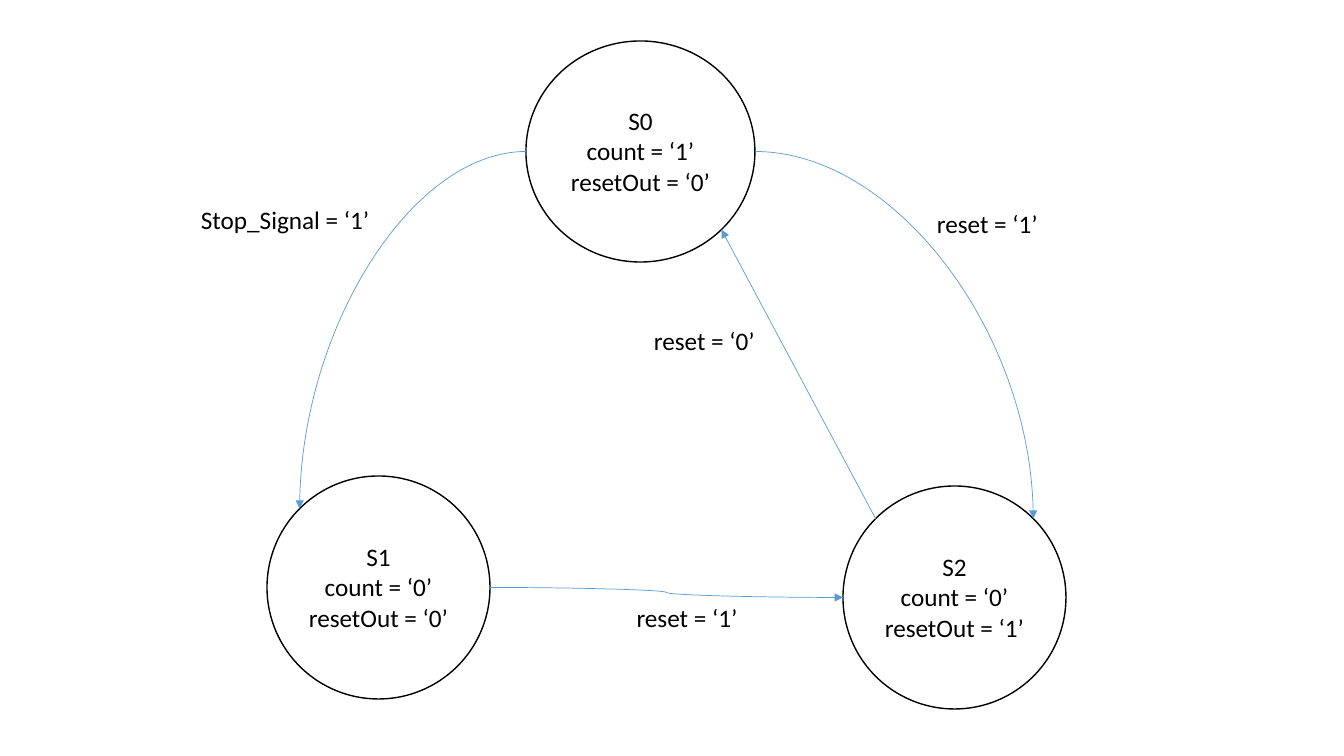
from math import cos, sin, radians
from lxml.etree import SubElement
from pptx import Presentation
from pptx.dml.color import RGBColor
from pptx.enum.shapes import MSO_CONNECTOR as LINK, MSO_SHAPE as SHAPE
from pptx.enum.text import MSO_AUTO_SIZE as FIT, PP_ALIGN as ALIGN
from pptx.oxml.ns import qn
from pptx.util import Pt

SCALE = 914400 / 100.8
COLORS = {"text": "000000", "outline": "000000", "arrow": "5B9BD5"}
FONT, FONT_SIZE = "Calibri", 18
STATE_TEXT_SIZE = (163, 102)
LABEL_SIZE = (218, 40)

STATES = {
    "S1": ((267, 476, 223, 223), ["count = ‘0’", "resetOut = ‘0’"]),
    "S0": ((526, 41, 229, 221), ["count = ‘1’", "resetOut = ‘0’"]),
    "S2": ((843, 486, 223, 223), ["count = ‘0’", "resetOut = ‘1’"]),
}
SITES = {"upper left": (1, 225), "left": (2, 180), "lower right": (5, 45),
         "right": (6, 0), "upper right": (7, 315)}
TRANSITIONS = [
    ("S0", "right", "S2", "upper right", "curvedConnector2"),
    ("S0", "left", "S1", "upper left", "curvedConnector2"),
    ("S1", "right", "S2", "left", "curvedConnector3"),
    ("S2", "upper left", "S0", "lower right", "straightConnector1"),
]
LABELS = [
    ("Stop_Signal = ‘1’", 191, 199, ALIGN.LEFT),
    ("reset = ‘1’", 927, 203, ALIGN.LEFT),
    ("reset = ‘1’", 578, 597, ALIGN.CENTER),
    ("reset = ‘0’", 644, 320, ALIGN.LEFT),
]


def emu(*pixels):
    return [round(value * SCALE) for value in pixels]


def color(name):
    return RGBColor.from_string(COLORS[name])


def add_text(lines, left, top, size, align):
    box = slide.shapes.add_textbox(*emu(left, top, *size))
    frame = box.text_frame
    frame.word_wrap = True
    frame.auto_size = FIT.SHAPE_TO_FIT_TEXT
    frame.text = "\n".join(lines)
    for para in frame.paragraphs:
        para.alignment = align
        for span in para.runs:
            span.font.name = FONT
            span.font.size = Pt(FONT_SIZE)
            span.font.color.rgb = color("text")


def add_state(name):
    (left, top, width, height), outputs = STATES[name]
    circle = slide.shapes.add_shape(SHAPE.OVAL, *emu(left, top, width, height))
    circle.shadow.inherit = False
    circle.fill.background()
    circle.line.color.rgb = color("outline")
    circle.line.width = Pt(1)
    text_width, text_height = STATE_TEXT_SIZE
    add_text([name, *outputs], left + (width - text_width) / 2,
             top + (height - text_height) / 2, STATE_TEXT_SIZE, ALIGN.CENTER)
    return circle


def site_point(name, site):
    left, top, width, height = STATES[name][0]
    angle = radians(SITES[site][1])
    return emu(left + width / 2 * (1 + cos(angle)),
               top + height / 2 * (1 + sin(angle)))


def add_transition(source, exit_site, target, entry_site, preset):
    arrow = slide.shapes.add_connector(
        LINK.CURVE, *site_point(source, exit_site), *site_point(target, entry_site))
    arrow.line.color.rgb = color("arrow")
    arrow.line.width = Pt(0.5)
    element = arrow.element
    properties = element.find(qn("p:spPr"))
    properties.find(qn("a:prstGeom")).set("prst", preset)
    SubElement(properties.find(qn("a:ln")), qn("a:tailEnd"), type="triangle")
    SubElement(properties, qn("a:effectLst"))
    links = element.find(".//" + qn("p:cNvCxnSpPr"))
    for tag, state, site in (("a:stCxn", source, exit_site),
                             ("a:endCxn", target, entry_site)):
        SubElement(links, qn(tag), id=str(circles[state].shape_id),
                   idx=str(SITES[site][0]))


deck = Presentation()
deck.slide_width, deck.slide_height = emu(1344, 756)
slide = deck.slides.add_slide(deck.slide_layouts[6])

circles = {name: add_state(name) for name in STATES}
for transition in TRANSITIONS:
    add_transition(*transition)
for label, left, top, align in LABELS:
    add_text([label], left, top, LABEL_SIZE, align)

deck.save("out.pptx")
